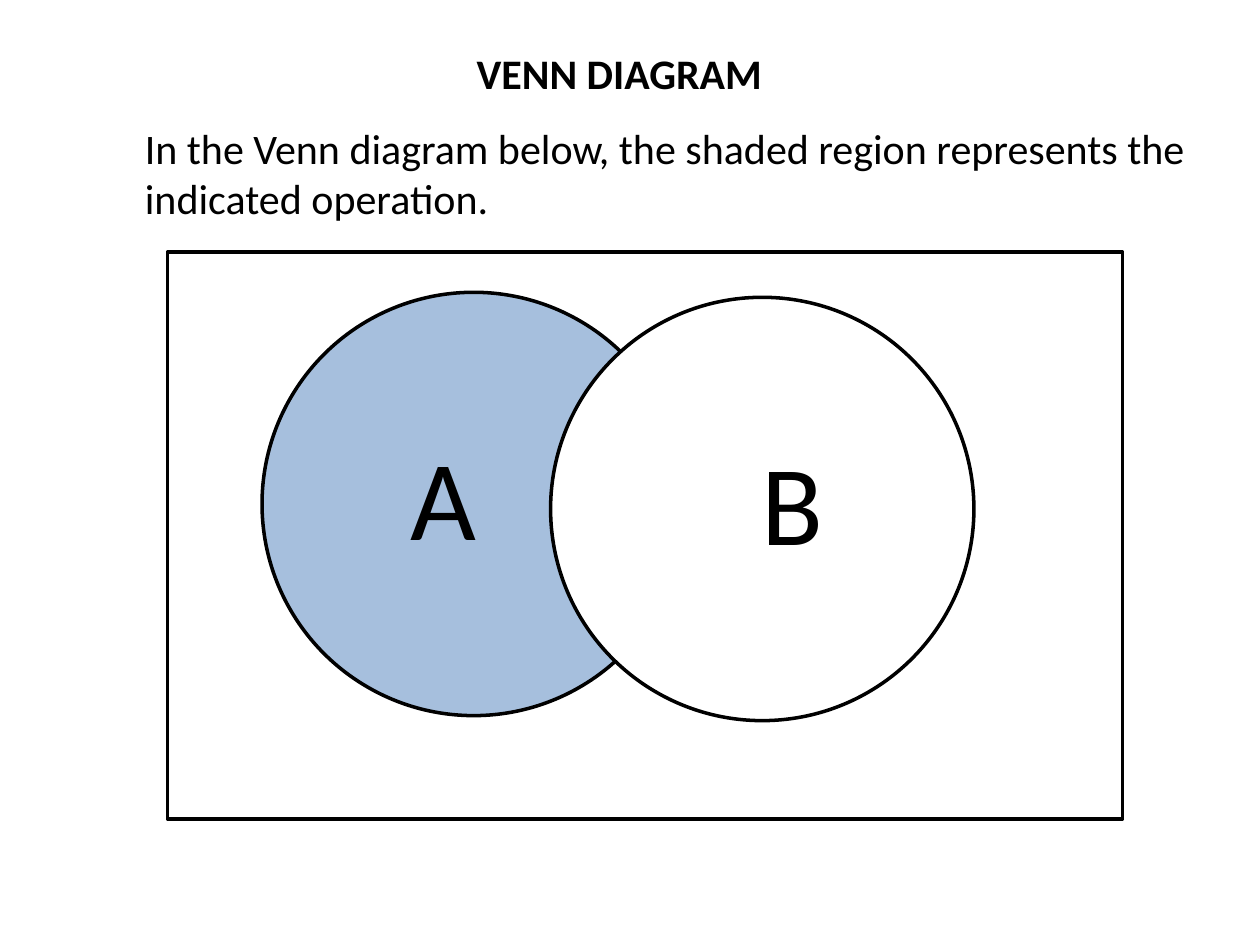
import pptx
import pptx.util
import pptx.dml.color
import pptx.enum.shapes
import pptx.enum.text
import lxml.etree

Inches, Pt = pptx.util.Inches, pptx.util.Pt
RGB = pptx.dml.color.RGBColor
SHAPE = pptx.enum.shapes.MSO_SHAPE
ALIGN = pptx.enum.text.PP_ALIGN
ANCHOR = pptx.enum.text.MSO_ANCHOR

# Content: boxes are left, top, width, height in inches
TITLE = ("VENN DIAGRAM", (2.83, 0.33, 4.17, 0.5))
INTRO = ("In the Venn diagram below, the shaded region represents the "
         "indicated operation.", (0.67, 0.92, 9, 1.25))
UNIVERSE = (1.33, 2, 7.58, 4.5)
DIAMETER = 3.36
LABEL_SIZE = (1.94, 2.57)
SETS = [
    {"name": "A", "left": 2.08, "top": 2.32, "label_left": 2.55, "fill": "shade", "opacity": 50},
    {"name": "B", "left": 4.37, "top": 2.36, "label_left": 5.32, "fill": "paper", "opacity": 100},
]

THEME = {
    "ink": RGB.from_string("000000"),
    "shade": RGB.from_string("4F81BD"),
    "paper": RGB.from_string("FFFFFF"),
    "outline": Pt(2),
    "title": {"name": "Calibri", "size": Pt(24), "bold": True},
    "intro": {"name": "Calibri", "size": Pt(24), "bold": False},
    "label": {"name": "Calibri", "size": Pt(65), "bold": False},
}
MARGINS = ("margin_left", "margin_top", "margin_right", "margin_bottom")


def set_all(target, values):
    for key, value in values.items():
        setattr(target, key, value)


def add_text(slide, words, box, style, frame_format, paragraph_format):
    frame = slide.shapes.add_textbox(*map(Inches, box)).text_frame
    set_all(frame, {"word_wrap": True, **frame_format})
    paragraph = frame.paragraphs[0]
    paragraph.text = words
    set_all(paragraph, paragraph_format)
    set_all(paragraph.font, THEME[style])
    paragraph.font.color.rgb = THEME["ink"]


def add_outlined(slide, kind, box, fill=None, opacity=100):
    shape = slide.shapes.add_shape(kind, *map(Inches, box))
    shape.shadow.inherit = False
    shape.line.color.rgb = THEME["ink"]
    shape.line.width = THEME["outline"]
    if fill is None:
        shape.fill.background()
        return
    shape.fill.solid()
    shape.fill.fore_color.rgb = THEME[fill]
    if opacity < 100:
        color = shape.fill._xPr.find(".//" + pptx.oxml.ns.qn("a:srgbClr"))
        alpha = lxml.etree.SubElement(color, pptx.oxml.ns.qn("a:alpha"))
        alpha.set("val", str(opacity * 1000))


def main():
    deck = pptx.Presentation()
    set_all(deck, {"slide_width": Inches(10), "slide_height": Inches(7.5)})
    slide = deck.slides.add_slide(deck.slide_layouts[6])

    # Heading and introduction
    add_text(slide, *INTRO, "intro", {"margin_left": Inches(0.48)}, {"alignment": ALIGN.LEFT})
    add_text(slide, *TITLE, "title", {"vertical_anchor": ANCHOR.MIDDLE},
             {"alignment": ALIGN.CENTER})

    # Sets, each with its label centred on the height of the circle
    label_frame = {"vertical_anchor": ANCHOR.MIDDLE, **dict.fromkeys(MARGINS, 0)}
    label_paragraph = {"alignment": ALIGN.CENTER, "line_spacing": 0.9}
    width, height = LABEL_SIZE
    for group in SETS:
        circle = (group["left"], group["top"], DIAMETER, DIAMETER)
        add_outlined(slide, SHAPE.OVAL, circle, group["fill"], group["opacity"])
        label_top = group["top"] + (DIAMETER - height) / 2
        add_text(slide, group["name"], (group["label_left"], label_top, width, height),
                 "label", label_frame, label_paragraph)

    # Universal set
    add_outlined(slide, SHAPE.RECTANGLE, UNIVERSE)
    deck.save("out.pptx")


if __name__ == "__main__":
    main()
